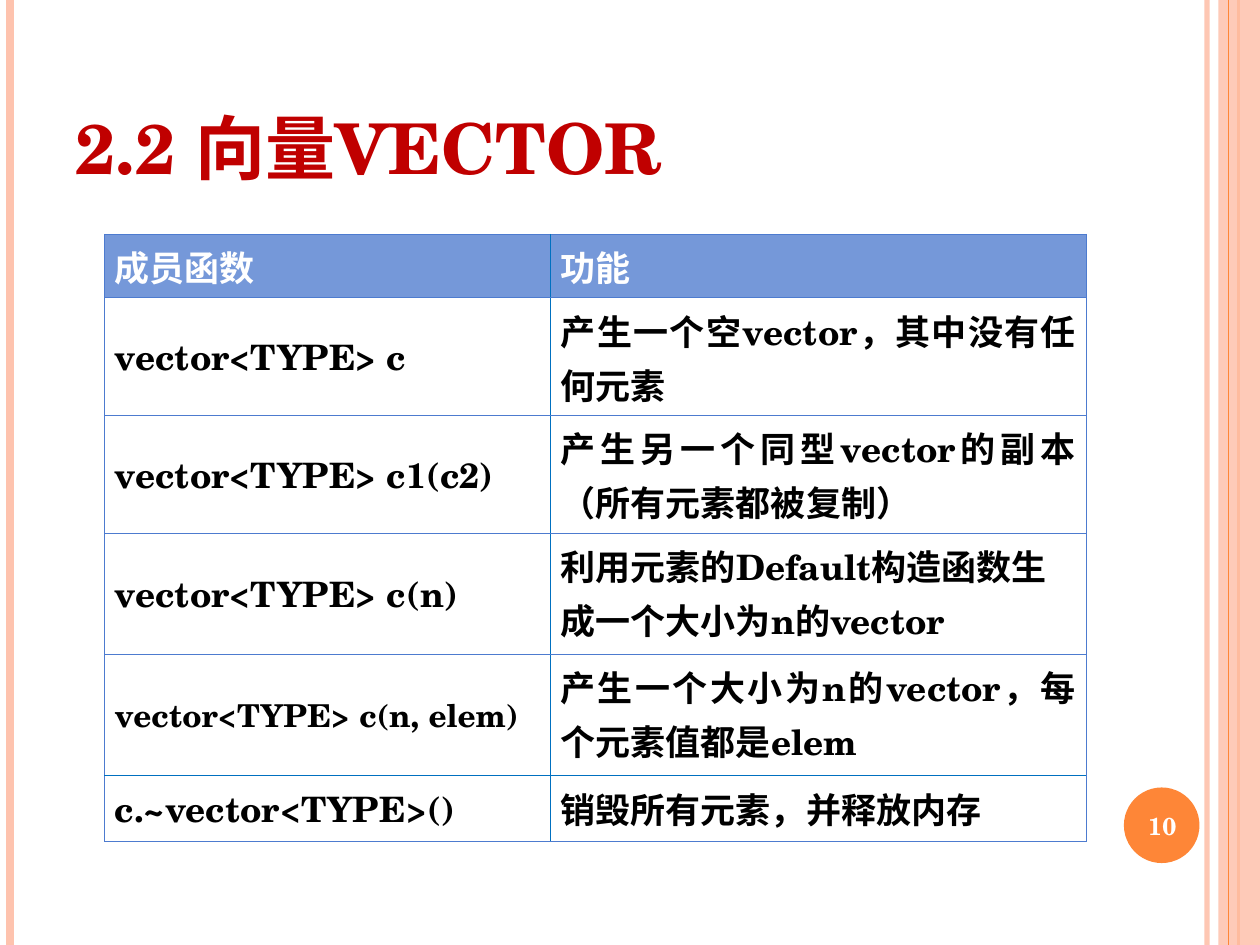
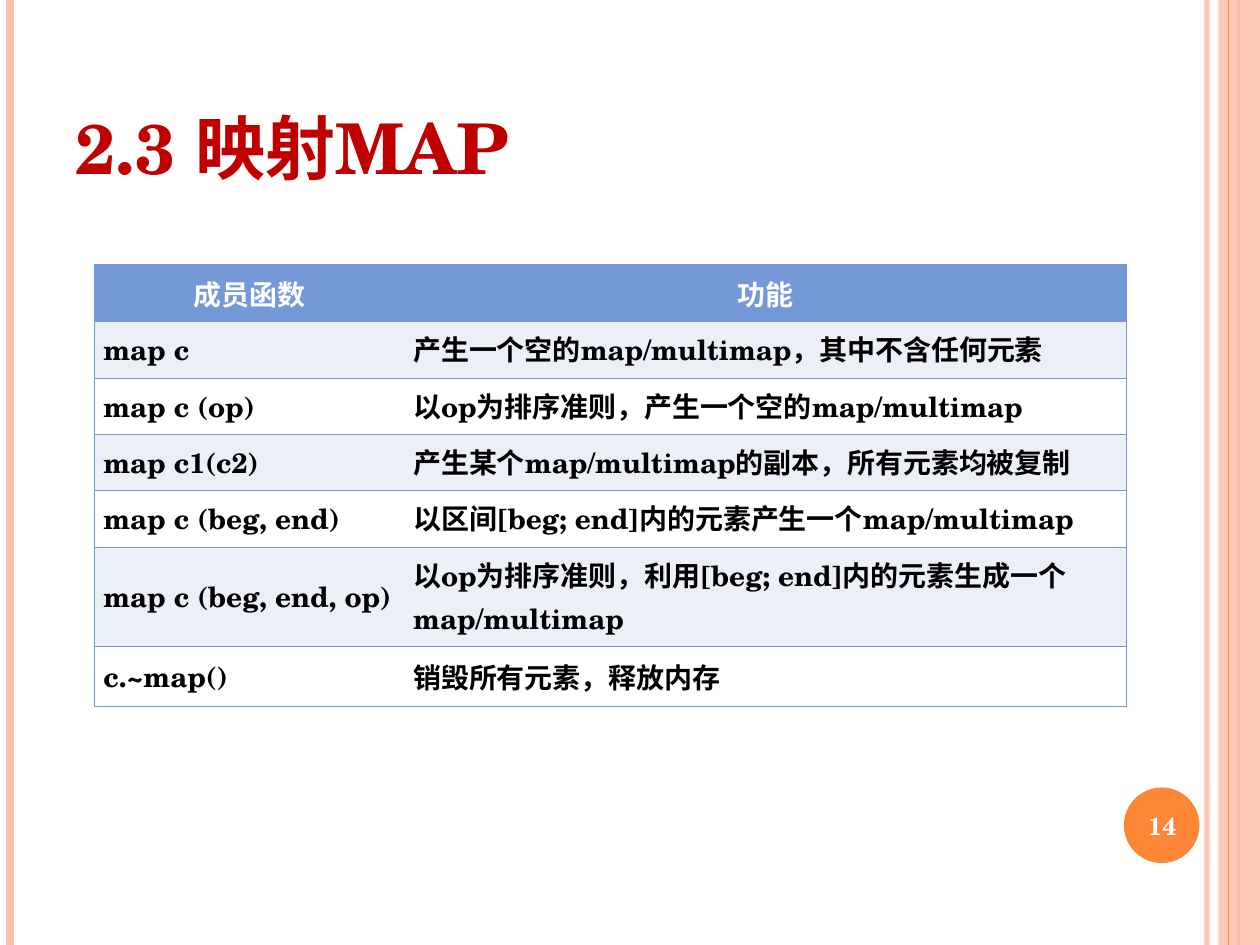
from lxml import etree
from pptx import Presentation
from pptx.dml.color import RGBColor
from pptx.enum.lang import MSO_LANGUAGE_ID
from pptx.enum.shapes import MSO_CONNECTOR, MSO_SHAPE
from pptx.enum.text import MSO_ANCHOR, MSO_AUTO_SIZE, PP_ALIGN
from pptx.oxml.ns import qn
from pptx.util import Inches, Pt

LINE = MSO_CONNECTOR.STRAIGHT
RECT, OVAL = MSO_SHAPE.RECTANGLE, MSO_SHAPE.OVAL
LEFT, CENTER, FULL = PP_ALIGN.LEFT, PP_ALIGN.CENTER, PP_ALIGN.JUSTIFY
MIDDLE, BOTTOM = MSO_ANCHOR.MIDDLE, MSO_ANCHOR.BOTTOM
NO_FIT = MSO_AUTO_SIZE.NONE
CHINESE = MSO_LANGUAGE_ID.SIMPLIFIED_CHINESE

FACE = "TeX Gyre Schola"
WHITE, BLACK, RED = "FFFFFF", "000000", "C00000"
PEACH, ORANGE = "FEC3AE", "FE8637"
BLUE, EDGE, DEEP, PALE = "7598D9", "4D7BCF", "0070C0", "ECEFF8"

VECTOR = [
    ("成员函数", "功能"),
    ("vector<TYPE> c", "产生一个空vector，其中没有任何元素"),
    ("vector<TYPE> c1(c2)", "产生另一个同型vector的副本（所有元素都被复制）"),
    ("vector<TYPE> c(n)", "利用元素的Default构造函数生成一个大小为n的vector"),
    ("vector<TYPE> c(n, elem)", "产生一个大小为n的vector，每个元素值都是elem"),
    ("c.~vector<TYPE>()", "销毁所有元素，并释放内存"),
]
MAP = [
    ("成员函数", "功能"),
    ("map c", "产生一个空的map/multimap，其中不含任何元素"),
    ("map c (op)", "以op为排序准则，产生一个空的map/multimap"),
    ("map c1(c2)", "产生某个map/multimap的副本，所有元素均被复制"),
    ("map c (beg, end)", "以区间[beg; end]内的元素产生一个map/multimap"),
    ("map c (beg, end, op)", "以op为排序准则，利用[beg; end]内的元素生成一个map/multimap"),
    ("c.~map()", "销毁所有元素，释放内存"),
]


def paint(color, code):
    color.rgb = RGBColor.from_string(code)


def fade(props, share):
    color = props.find(".//" + qn("a:srgbClr"))
    etree.SubElement(color, qn("a:alpha"), val=str(share * 1000))


def write(frame, text, size, code, align):
    frame.text = text
    para = frame.paragraphs[0]
    para.alignment = align
    font = para.runs[0].font
    font.name, font.size, font.bold = FACE, Pt(size), True
    font.language_id = CHINESE
    paint(font.color, code)


def add_rule(slide, x, code, width):
    rule = slide.shapes.add_connector(LINE, Inches(x), 0, Inches(x), Inches(7.5))
    paint(rule.line.color, code)
    rule.line.width = Pt(width)
    props = rule._element.spPr
    etree.SubElement(props, qn("a:effectLst"))
    return props


def add_block(slide, kind, box, code):
    block = slide.shapes.add_shape(kind, *map(Inches, box))
    block.shadow.inherit = False
    block.fill.solid()
    paint(block.fill.fore_color, code)
    block.line.fill.background()
    return block._element.spPr


def add_bands(slide):
    fade(add_rule(slide, 9.58, PEACH, 3), 93)
    add_rule(slide, 0.08, PEACH, 4.5)
    add_rule(slide, 9.83, ORANGE, 1.5)
    fade(add_block(slide, RECT, (9.67, 0, 0.33, 7.5), PEACH), 87)
    add_rule(slide, 9.75, ORANGE, 0.75)


def add_badge(slide, left, top, number):
    add_block(slide, OVAL, (left, top, 0.6, 0.6), ORANGE)
    box = slide.shapes.add_textbox(
        Inches(left - 0.03), Inches(top + 0.02), Inches(0.67), Inches(0.57))
    frame = box.text_frame
    frame.word_wrap = True
    frame.vertical_anchor = MIDDLE
    write(frame, str(number), 14, WHITE, CENTER)


def add_title(slide, box, text):
    title = slide.shapes.title
    title.left, title.top, title.width, title.height = map(Inches, box)
    frame = title.text_frame
    frame.auto_size = NO_FIT
    frame.vertical_anchor = BOTTOM
    write(frame, text, 40, RED, LEFT)


def set_edges(cell, sides):
    props = cell._tc.get_or_add_tcPr()
    for side, code in zip("LRTB", sides):
        edge = etree.SubElement(props, qn("a:ln" + side), w=str(Pt(0.45)))
        if code:
            fill = etree.SubElement(edge, qn("a:solidFill"))
            etree.SubElement(fill, qn("a:srgbClr"), val=code)
        else:
            etree.SubElement(edge, qn("a:noFill"))


def add_grid(slide, box, data, cols, rows, size, edge, inner, fills, inset,
             head=FULL, loose=(), small=(), deep=None):
    table = slide.shapes.add_table(len(rows), len(cols), *map(Inches, box)).table
    table.first_row = table.horz_banding = False
    for col, width in zip(table.columns, cols):
        col.width = Inches(width)
    for row, height in zip(table.rows, rows):
        row.height = Inches(height)
    levels = [DEEP if i == deep else edge for i in range(len(rows) + 1)]
    for r, words in enumerate(data):
        for c, text in enumerate(words):
            cell = table.cell(r, c)
            cell.margin_left = cell.margin_right = Inches(inset)
            cell.vertical_anchor = MIDDLE
            sides = (inner, edge) if c else (edge, inner)
            set_edges(cell, (*sides, levels[r], levels[r + 1]))
            fill = fills[r % 2] if r else BLUE
            if fill:
                cell.fill.solid()
                paint(cell.fill.fore_color, fill)
            else:
                cell.fill.background()
            align = LEFT if (r, c) in loose else FULL if r else head
            points = size - 2 if (r, c) in small else size
            write(cell.text_frame, text, points, BLACK if r else WHITE, align)


def add_page(deck, title, number, **grid):
    slide = deck.slides.add_slide(deck.slide_layouts.get_by_name("Title Only"))
    add_bands(slide)
    add_title(slide, (0.5, 0.3, 8.17, 1.25), title)
    add_grid(slide, **grid)
    add_badge(slide, 8.92, 6.25, number)


def main():
    deck = Presentation()
    deck.slide_width, deck.slide_height = Inches(10), Inches(7.5)
    add_page(deck, "2.2 向量VECTOR", 10, box=(0.83, 1.86, 7.8, 3.86),
             data=VECTOR, cols=(3.54, 4.25), rows=(0.4, *[0.81] * 4, 0.4),
             size=20, edge=EDGE, inner=DEEP, fills=(None, None), inset=0.08,
             loose=[(3, 1), (4, 0)], small=[(4, 0)], deep=5)
    add_page(deck, "2.3 映射MAP", 14, box=(0.75, 2.1, 8.19, 3.31),
             data=MAP, cols=(2.46, 5.73),
             rows=(0.45, 0.45, 0.45, 0.43, 0.45, 0.6, 0.48),
             size=16, edge=BLUE, inner=None, fills=(WHITE, PALE), inset=0.07,
             head=CENTER, loose=[(3, 1), (5, 1)])
    deck.save("out.pptx")


if __name__ == "__main__":
    main()
